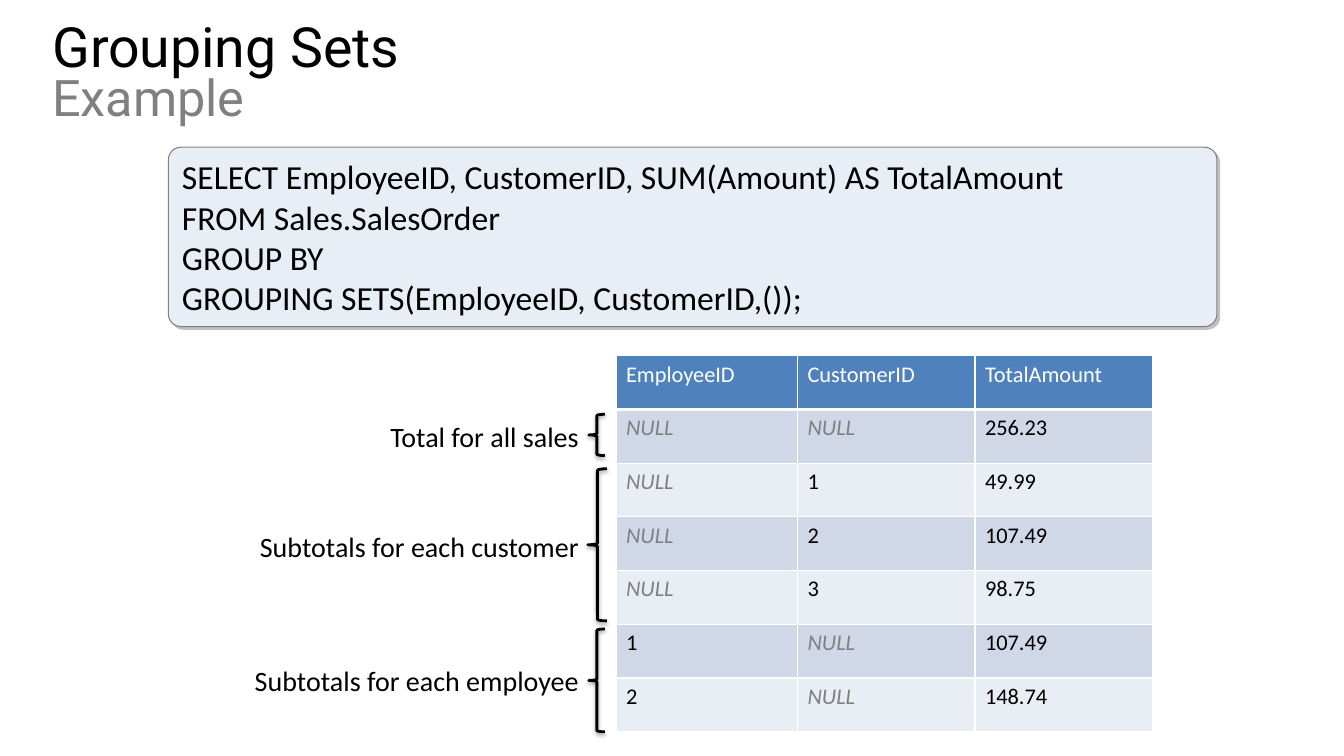
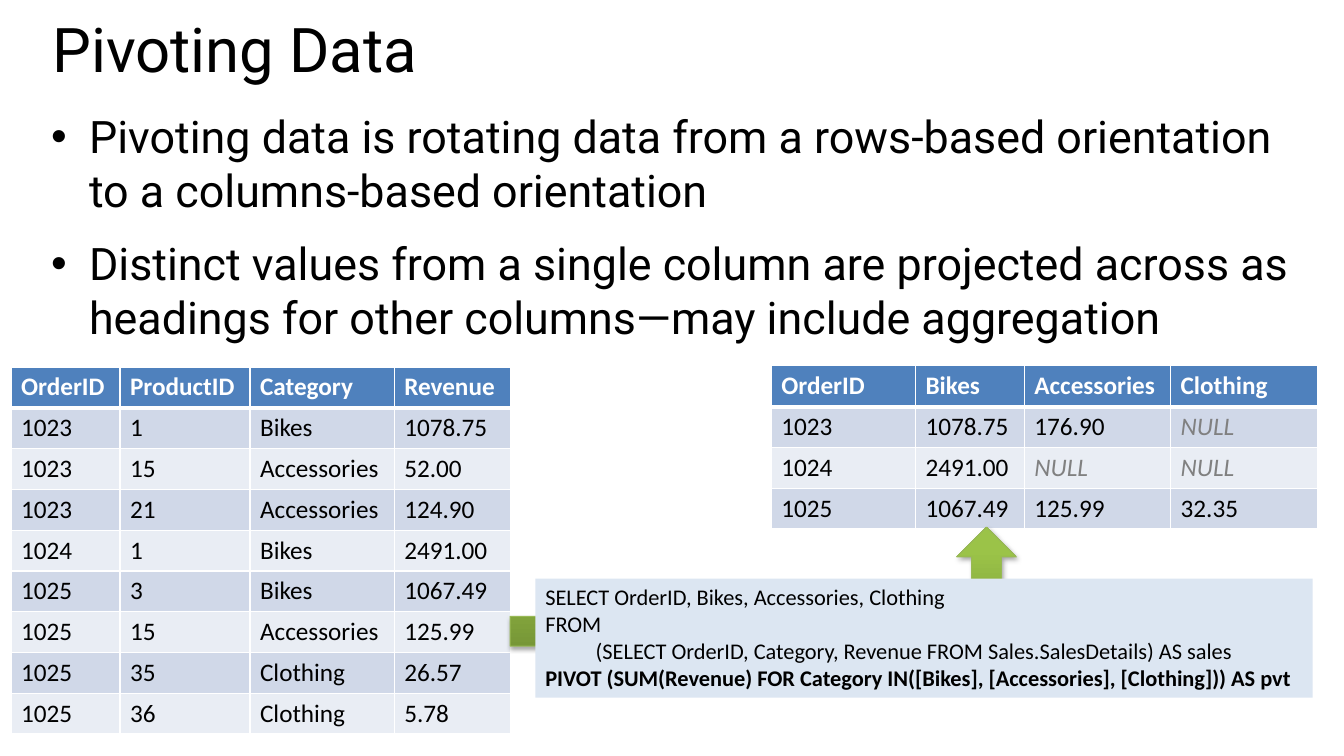
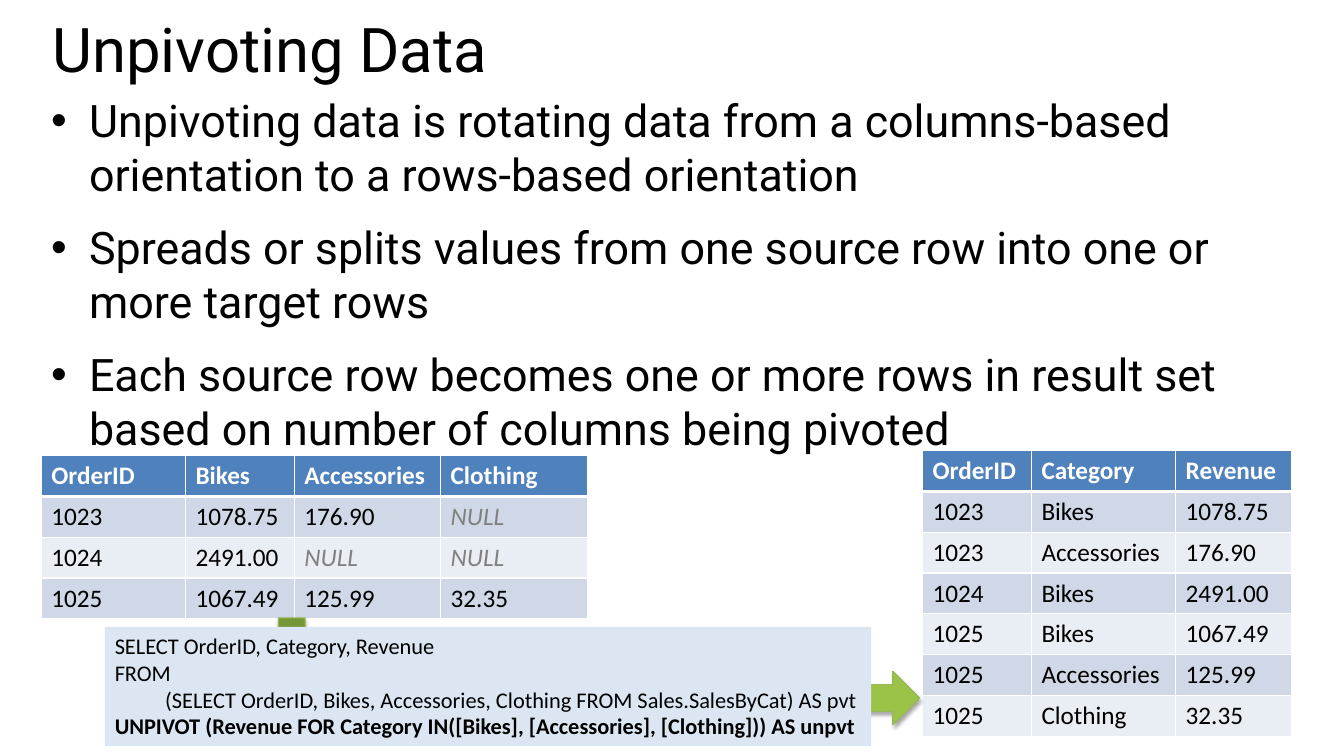
import dataclasses

import lxml.etree
import pptx
import pptx.dml.color
import pptx.enum.shapes
import pptx.enum.text
import pptx.oxml.ns
import pptx.util

SHAPE = pptx.enum.shapes.MSO_SHAPE
ALIGN = pptx.enum.text.PP_ALIGN
ANCHOR = pptx.enum.text.MSO_ANCHOR
qn = pptx.oxml.ns.qn


@dataclasses.dataclass(frozen=True)
class Theme:
    heading: str = "Roboto"
    content: str = "Calibri"
    ink: str = "000000"
    muted: str = "808080"
    white: str = "FFFFFF"
    header: str = "4F81BD"
    bands: tuple = ("D0D8E8", "E9EDF4")
    panel: str = "E8EEF6"
    query: str = "DCE6F2"
    arrow: tuple = ("779737", "9BC348")
    arrow_line: str = "98B955"
    panel_shadow: tuple = ("C0C0C0", 100, 0, 2.8, 45)
    brace_shadow: tuple = ("000000", 38, 3.1, 1.6, 90)
    arrow_shadow: tuple = ("000000", 35, 3.1, 1.8, 90)
    title_size: float = 44
    title_small: float = 39.6
    subtitle_size: float = 36
    bullet_size: float = 32
    panel_size: float = 24
    label_size: float = 20
    table_size: float = 18
    small_size: float = 16


def grid(steps):
    """Length of a number of columns or rows; one step is a tenth of an inch."""
    return pptx.util.Inches(steps / 10)


def rgb(value):
    return pptx.dml.color.RGBColor.from_string(value)


def add_xml(parent, tag, **attributes):
    values = {name: str(value) for name, value in attributes.items()}
    return lxml.etree.SubElement(parent, qn(tag), values)


class SlideMaker:
    def __init__(self, theme):
        self.theme = theme
        self.deck = pptx.Presentation()
        self.deck.slide_width = pptx.util.Inches(13.33)
        self.deck.slide_height = pptx.util.Inches(7.5)
        self.page = None

    def span(self, para, text, size, colour=None, face=None, **more):
        span = para.add_run()
        span.text = text
        span.font.color.rgb = rgb(colour or self.theme.ink)
        formats = {"name": face or self.theme.content, "size": pptx.util.Pt(size), **more}
        for name, value in formats.items():
            setattr(span.font, name, value)

    def text_box(self, area, wrap=True):
        frame = self.page.shapes.add_textbox(*map(grid, area)).text_frame
        frame.word_wrap = wrap
        return frame

    def paras(self, frame, count):
        """Return the given number of left-aligned paragraphs of a frame."""
        while len(frame.paragraphs) < count:
            frame.add_paragraph()
        for para in frame.paragraphs:
            para.alignment = ALIGN.LEFT
        return frame.paragraphs

    def start(self, title, subtitle=None):
        """Begin a blank slide with its title."""
        look = self.theme
        self.page = self.deck.slides.add_slide(self.deck.slide_layouts[6])
        para = self.text_box((4.2, 2, 126, 11.6)).paragraphs[0]
        para.line_spacing = 0.8
        size = look.title_small if subtitle else look.title_size
        self.span(para, title, size, face=look.heading)
        if subtitle:
            para.add_line_break()
            self.span(para, subtitle, look.subtitle_size, look.muted, look.heading)

    def bullets(self, top, lines):
        frame = self.text_box((4.1, top, 126, 73 - top))
        for para, line in zip(self.paras(frame, len(lines)), lines):
            para.space_before = pptx.util.Pt(14)
            properties = para._p.get_or_add_pPr()
            properties.set("marL", str(grid(3.75)))
            properties.set("indent", str(-grid(3.75)))
            add_xml(properties, "a:buFont", typeface="Arial")
            add_xml(properties, "a:buChar", char="•")
            self.span(para, line, self.theme.bullet_size, face=self.theme.heading)

    def table(self, left, top, widths, row_height, rows, size, header_bold=True):
        look = self.theme
        area = (left, top, sum(widths), row_height * len(rows))
        table = self.page.shapes.add_table(len(rows), len(widths), *map(grid, area)).table
        table.horz_banding = False
        for column, width in zip(table.columns, widths):
            column.width = grid(width)
        for row, values in enumerate(rows):
            table.rows[row].height = grid(row_height)
            for column, value in enumerate(values):
                cell = table.cell(row, column)
                self.borders(cell, top=3 if row == 1 else 1, bottom=1 if row else 3)
                cell.fill.solid()
                fill = look.bands[(row - 1) % 2] if row else look.header
                cell.fill.fore_color.rgb = rgb(fill)
                empty = value == "NULL"
                colour = look.muted if empty else look.ink if row else look.white
                self.span(cell.text_frame.paragraphs[0], value, size, colour,
                          bold=header_bold and row == 0, italic=empty)

    def borders(self, cell, top, bottom):
        properties = cell._tc.get_or_add_tcPr()
        for side, width in {"L": 1, "R": 1, "T": top, "B": bottom}.items():
            line = add_xml(properties, f"a:ln{side}", w=pptx.util.Pt(width))
            add_xml(add_xml(line, "a:solidFill"), "a:srgbClr", val=self.theme.white)

    def shape(self, kind, area, fill=None, line=None, line_width=0.75, shadow=None):
        """Add a preset shape; two fill colours make an upward gradient."""
        shape = self.page.shapes.add_shape(kind, *map(grid, area))
        if fill is None:
            shape.fill.background()
        elif isinstance(fill, tuple):
            shape.fill.gradient()
            shape.fill.gradient_angle = 90
            for stop, colour, position in zip(shape.fill.gradient_stops, fill, (0, 0.8)):
                stop.color.rgb = rgb(colour)
                stop.position = position
        else:
            shape.fill.solid()
            shape.fill.fore_color.rgb = rgb(fill)
        if line:
            shape.line.color.rgb = rgb(line)
            shape.line.width = pptx.util.Pt(line_width)
        else:
            shape.line.fill.background()
        shape.shadow.inherit = False
        if shadow:
            colour, alpha, blur, distance, angle = shadow
            effects = shape._element.spPr.find(qn("a:effectLst"))
            outer = add_xml(effects, "a:outerShdw", blurRad=pptx.util.Pt(blur),
                            dist=pptx.util.Pt(distance), dir=angle * 60000,
                            algn="tl", rotWithShape=0)
            tint = add_xml(outer, "a:srgbClr", val=colour)
            add_xml(tint, "a:alpha", val=alpha * 1000)
        return shape

    def panel(self, area, lines):
        look = self.theme
        box = self.shape(SHAPE.ROUNDED_RECTANGLE, area, look.panel, look.muted,
                         shadow=look.panel_shadow)
        box.adjustments[0] = 0.07
        box.text_frame.vertical_anchor = ANCHOR.MIDDLE
        for para, line in zip(self.paras(box.text_frame, len(lines)), lines):
            self.span(para, line, look.panel_size)

    def brace_label(self, text, width, top, brace):
        look = self.theme
        frame = self.text_box((58.4 - width, top, width, 4.4), wrap=False)
        frame.paragraphs[0].alignment = ALIGN.RIGHT
        self.span(frame.paragraphs[0], text, look.label_size)
        self.shape(SHAPE.LEFT_BRACE, brace, line=look.ink, line_width=2,
                   shadow=look.brace_shadow)

    def bent_arrow(self, area, rotation=0):
        look = self.theme
        arrow = self.shape(SHAPE.BENT_UP_ARROW, area, look.arrow, look.arrow_line,
                           shadow=look.arrow_shadow)
        arrow.rotation = rotation

    def query(self, area, select, source, operator):
        """Add a query with an indented source and a bold operator."""
        frame = self.shape(SHAPE.RECTANGLE, area, self.theme.query).text_frame
        frame.vertical_anchor = ANCHOR.TOP
        frame.word_wrap = True
        lines = (select, "FROM", source, operator)
        for para, line in zip(self.paras(frame, len(lines)), lines):
            if line == source:
                para._p.get_or_add_pPr().set("marL", str(grid(5)))
            self.span(para, line, self.theme.small_size, bold=line == operator)


GROUPED = [
    ("EmployeeID", "CustomerID", "TotalAmount"),
    ("NULL", "NULL", "256.23"),
    ("NULL", "1", "49.99"),
    ("NULL", "2", "107.49"),
    ("NULL", "3", "98.75"),
    ("1", "NULL", "107.49"),
    ("2", "NULL", "148.74"),
]
DETAILS = [
    ("OrderID", "ProductID", "Category", "Revenue"),
    ("1023", "1", "Bikes", "1078.75"),
    ("1023", "15", "Accessories", "52.00"),
    ("1023", "21", "Accessories", "124.90"),
    ("1024", "1", "Bikes", "2491.00"),
    ("1025", "3", "Bikes", "1067.49"),
    ("1025", "15", "Accessories", "125.99"),
    ("1025", "35", "Clothing", "26.57"),
    ("1025", "36", "Clothing", "5.78"),
]
PIVOTED = [
    ("OrderID", "Bikes", "Accessories", "Clothing"),
    ("1023", "1078.75", "176.90", "NULL"),
    ("1024", "2491.00", "NULL", "NULL"),
    ("1025", "1067.49", "125.99", "32.35"),
]
UNPIVOTED = [("OrderID", "Category", "Revenue")] + [
    (order, category, revenue)
    for order, *revenues in PIVOTED[1:]
    for category, revenue in zip(PIVOTED[0][1:], revenues)
    if revenue != "NULL"
]
PIVOTED_WIDTHS = (14.3, 10.8, 14.5, 14.6)
ROW = 4.05


def grouping_sets(maker):
    maker.start("Grouping Sets", "Example")
    maker.table(61.1, 35.3, (18, 17.6, 17.6), 5.33, GROUPED,
                maker.theme.small_size, header_bold=False)
    maker.brace_label("Total for all sales", 20.9, 41.1, (58.4, 41.1, 1.6, 4.1))
    maker.brace_label("Subtotals for each customer", 34, 52, (58.3, 46.5, 1.9, 15.1))
    maker.brace_label("Subtotals for each employee", 34.5, 65.3, (58.4, 62.4, 1.6, 10.2))
    maker.panel((16.7, 14.6, 104, 17.8), (
        "SELECT EmployeeID, CustomerID, SUM(Amount) AS TotalAmount",
        "FROM Sales.SalesOrder",
        "GROUP BY",
        "GROUPING SETS(EmployeeID, CustomerID,());",
    ))


def pivoting(maker):
    maker.start("Pivoting Data")
    maker.bullets(10.3, (
        "Pivoting data is rotating data from a rows-based orientation "
        "to a columns-based orientation",
        "Distinct values from a single column are projected across as "
        "headings for other columns—may include aggregation",
    ))
    size = maker.theme.table_size
    maker.table(1.1, 36.4, (10.8, 12.9, 14.3, 11.5), ROW, DETAILS, size)
    maker.table(76.5, 36.3, PIVOTED_WIDTHS, ROW, PIVOTED, size)
    maker.bent_arrow((50.6, 52.3, 50.2, 11.8))
    maker.query(
        (53.1, 57.4, 77.1, 11.8),
        "SELECT OrderID, Bikes, Accessories, Clothing",
        "(SELECT OrderID, Category, Revenue FROM Sales.SalesDetails) AS sales",
        "PIVOT (SUM(Revenue) FOR Category IN([Bikes], [Accessories], [Clothing])) AS pvt",
    )


def unpivoting(maker):
    maker.start("Unpivoting Data")
    maker.bullets(8.7, (
        "Unpivoting data is rotating data from a columns-based orientation "
        "to a rows-based orientation",
        "Spreads or splits values from one source row into one or more target rows",
        "Each source row becomes one or more rows in result set "
        "based on number of columns being pivoted",
    ))
    size = maker.theme.table_size
    maker.table(91.5, 44.7, (10.8, 14.3, 11.5), ROW, UNPIVOTED, size)
    maker.table(4.1, 45.2, PIVOTED_WIDTHS, ROW, PIVOTED, size)
    maker.bent_arrow((54.1, 34.8, 10.6, 63.6), rotation=90)
    maker.query(
        (10.4, 62.2, 76, 11.8),
        "SELECT OrderID, Category, Revenue",
        "(SELECT OrderID, Bikes, Accessories, Clothing FROM Sales.SalesByCat) AS pvt",
        "UNPIVOT (Revenue FOR Category IN([Bikes], [Accessories], [Clothing])) AS unpvt",
    )


def main():
    maker = SlideMaker(Theme())
    for build in (grouping_sets, pivoting, unpivoting):
        build(maker)
    maker.deck.save("out.pptx")


if __name__ == "__main__":
    main()
